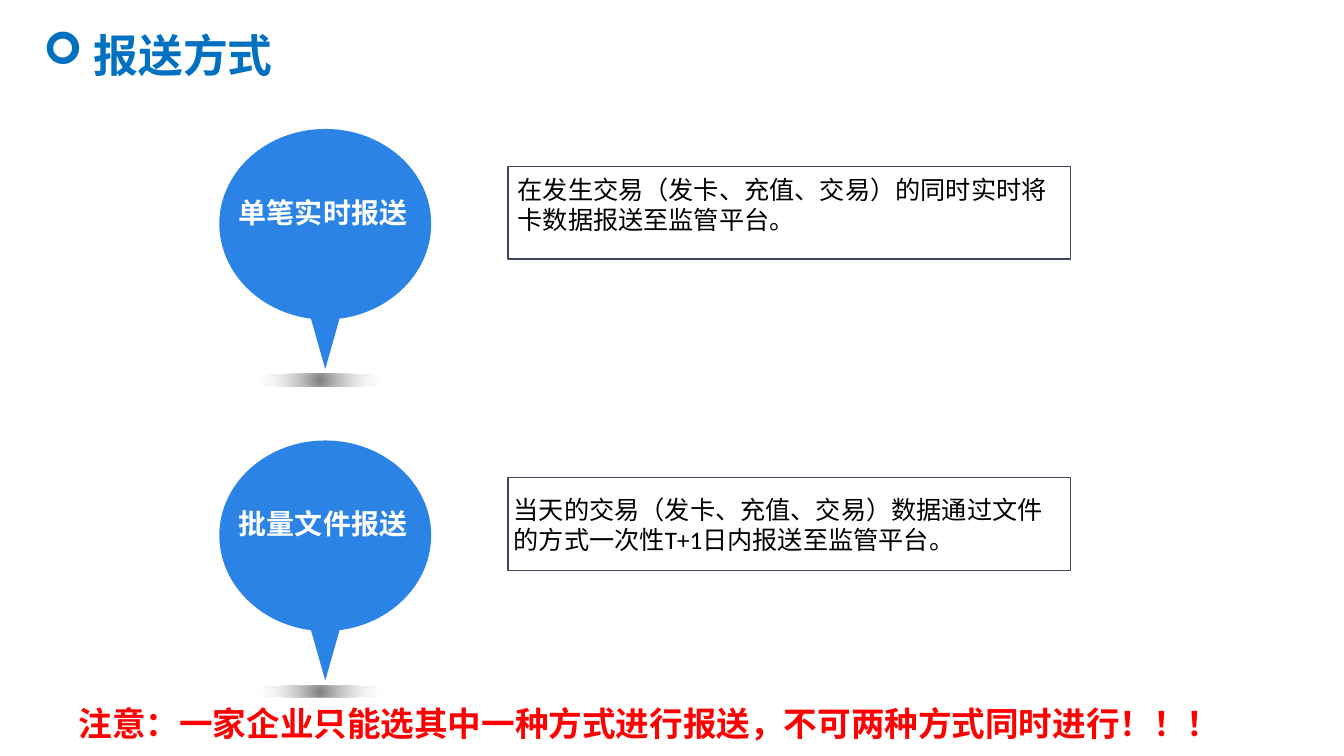
"""Build the slide on the two ways of submitting data."""
from lxml import etree
from pptx import Presentation
from pptx import util as u
from pptx.dml.color import RGBColor
from pptx.enum import shapes, text
from pptx.oxml import ns, parse_xml

BLUE = RGBColor(0x2B, 0x83, 0xE5)
TITLE_BLUE = RGBColor(0x00, 0x70, 0xC0)
SLATE = RGBColor(0x3D, 0x48, 0x5D)
RED = RGBColor(0xFF, 0x00, 0x00)
WHITE = RGBColor(0xFF, 0xFF, 0xFF)
BLACK = RGBColor(0x00, 0x00, 0x00)
CJK = "Noto Sans CJK SC"
LATIN = "Calibri"
PITCH = 7.85
HALF_RIM = [(0, 0), (1.47, 0), (2.67, 1.07), (2.67, 2.39),
            (2.67, 3.61), (1.65, 4.62), (0.36, 4.78)]
TIP = (0, 6.05)
GLOW = (
    f'<a:gradFill {ns.nsdecls("a")} rotWithShape="1"><a:gsLst>'
    '<a:gs pos="0"><a:srgbClr val="808080"/></a:gs>'
    '<a:gs pos="80000"><a:srgbClr val="FFFFFF"><a:alpha val="0"/></a:srgbClr></a:gs>'
    '</a:gsLst><a:path path="circle">'
    '<a:fillToRect l="50000" t="50000" r="50000" b="50000"/></a:path></a:gradFill>'
)


class Deck:
    def __init__(self, prs):
        self.s = prs.slides.add_slide(prs.slide_layouts[6])
        self.canvas = self.s.shapes

    def open_group(self):
        self.canvas = self.s.shapes.add_group_shape().shapes

    def close_group(self):
        self.canvas = self.s.shapes

    def label(self, words, x, y, w, h, size, color, font=CJK, bold=True,
              wrap=True, align=None, inset=None, bullet=None):
        sp = self.canvas.add_textbox(*map(u.Cm, (x, y, w, h)))
        tf = sp.text_frame
        tf.word_wrap = wrap
        tf.auto_size = text.MSO_AUTO_SIZE.SHAPE_TO_FIT_TEXT
        if inset is not None:
            tf.margin_left = tf.margin_right = u.Cm(inset)
            tf.margin_top = tf.margin_bottom = u.Cm(inset)
        tf.text = words
        p = tf.paragraphs[0]
        p.alignment = align
        if bullet:
            pPr = p._p.get_or_add_pPr()
            pPr.set("marL", str(u.Cm(1.27)))
            pPr.set("indent", str(u.Cm(-1.27)))
            etree.SubElement(pPr, ns.qn("a:buFont"), typeface="Wingdings", charset="2")
            etree.SubElement(pPr, ns.qn("a:buChar"), char=bullet)
        r = p.runs[0]
        r.font.size = u.Pt(size)
        r.font.bold = bold
        r.font.name = font
        r.font.color.rgb = color
        if font == CJK:
            etree.SubElement(r._r.get_or_add_rPr(), ns.qn("a:ea"), typeface=CJK)

    def balloon(self, cx, top):
        mirrored = [(-x, y) for x, y in reversed(HALF_RIM)]
        outline = [(u.Cm(cx + x), u.Cm(top + y)) for x, y in HALF_RIM + [TIP] + mirrored]
        fb = self.canvas.build_freeform(*outline[0])
        fb.add_line_segments(outline[1:], close=True)
        sp = fb.convert_to_shape()
        lines = list(sp._element.iter(ns.qn("a:lnTo")))
        for start in (0, 3, 8, 11):
            first, *others = lines[start:start + 3]
            curve = etree.Element(ns.qn("a:cubicBezTo"))
            first.addprevious(curve)
            for line in (first, *others):
                curve.append(line[0])
                line.getparent().remove(line)
        sp.shadow.inherit = False
        sp.fill.solid()
        sp.fill.fore_color.rgb = BLUE
        sp.line.fill.background()

    def ground(self, x, y, w, h):
        sp = self.canvas.add_shape(shapes.MSO_SHAPE.OVAL, *map(u.Cm, (x, y, w, h)))
        sp.shadow.inherit = False
        sp.line.fill.background()
        sp.fill.background()
        spPr = sp._element.spPr
        spPr.replace(spPr.find(ns.qn("a:noFill")), parse_xml(GLOW))

    def frame(self, x, y, w, h):
        sp = self.canvas.add_shape(shapes.MSO_SHAPE.RECTANGLE, *map(u.Cm, (x, y, w, h)))
        sp.shadow.inherit = False
        sp.fill.background()
        sp.line.color.rgb = SLATE
        sp.line.width = u.Pt(1)


def main():
    prs = Presentation()
    prs.slide_width, prs.slide_height = u.Cm(33.88), u.Cm(19.05)
    deck = Deck(prs)
    deck.label("报送方式", 1.09, 0.69, 14.53, 1.37, 32, TITLE_BLUE, inset=0, bullet="➢")
    methods = [
        ("单笔实时报送", "在发生交易（发卡、充值、交易）的同时实时将卡数据报送至监管平台。", 12.8, 4.27),
        ("批量文件报送", "当天的交易（发卡、充值、交易）数据通过文件的方式一次性T+1日内报送至监管平台。", 12.7, 4.47),
    ]
    for i, (name, detail, x, y) in enumerate(methods):
        dy = i * PITCH
        deck.open_group()
        deck.balloon(8.2, 3.25 + dy)
        deck.ground(6, 9.42 + dy, 4.14, 0.31)
        deck.label(name, 5.77, 4.8 + dy, 4.75, 1.12, 20, WHITE,
                   wrap=False, align=text.PP_ALIGN.CENTER)
        deck.close_group()
        deck.frame(12.81, 4.19 + dy, 14.17, 2.34)
        deck.label(detail, x, y + dy, 13.97, 1.8, 18, BLACK, font=LATIN, bold=False)
    deck.label("注意：一家企业只能选其中一种方式进行报送，不可两种方式同时进行！！！",
               1.73, 17.58, 29.59, 1.27, 24, RED)
    prs.save("out.pptx")


if __name__ == "__main__":
    main()
